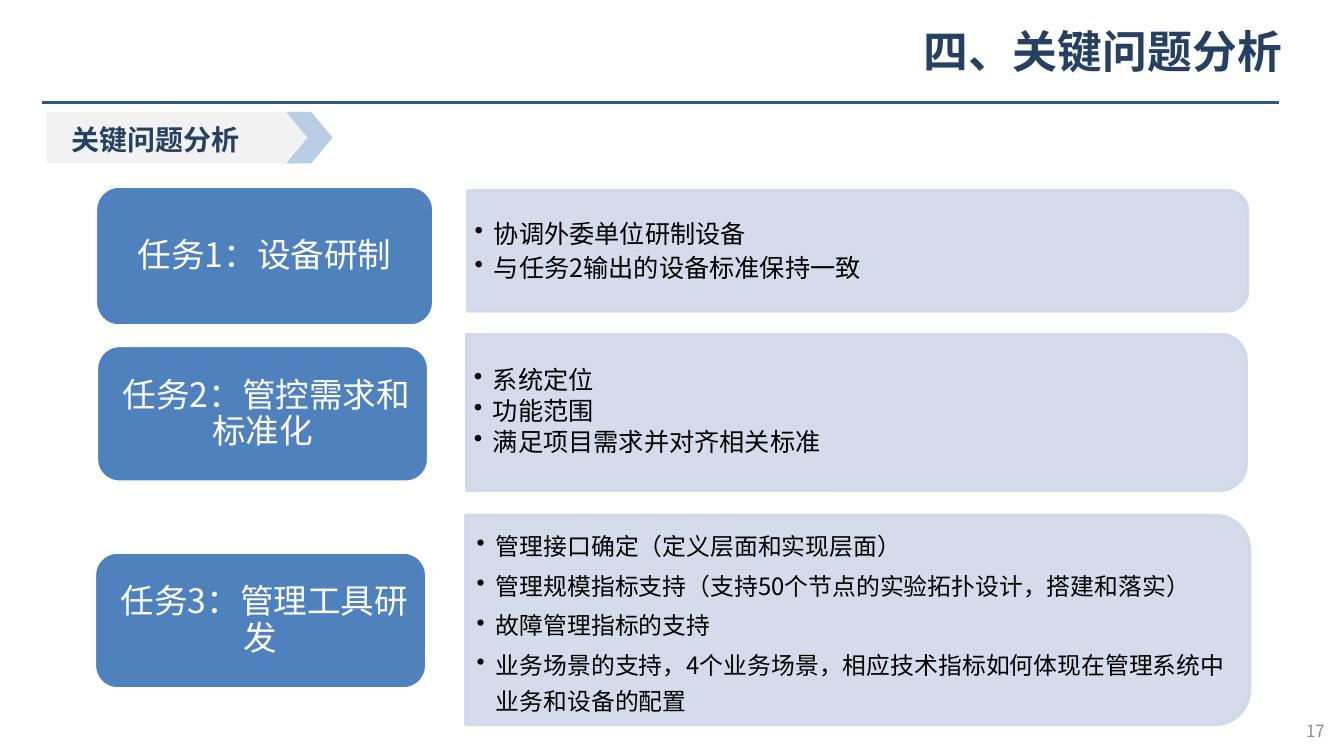
"""Build the key issues slide: three tasks, each with a panel of points."""
from pptx import Presentation
from pptx.dml.color import RGBColor
from pptx.enum import shapes, text
from pptx.oxml.ns import qn
from pptx.util import Pt

FONT = "Noto Sans CJK SC"
NAVY = RGBColor(0x25, 0x40, 0x61)
RULE = RGBColor(0x2C, 0x55, 0x88)
BLUE = RGBColor(0x4F, 0x81, 0xBD)
PALE = RGBColor(0xD0, 0xD8, 0xE8)
SKY = RGBColor(0xB9, 0xCD, 0xE5)
SMOKE = RGBColor(0xF2, 0xF2, 0xF2)
GREY = RGBColor(0x8C, 0x8C, 0x8C)
WHITE = RGBColor(0xFF, 0xFF, 0xFF)
BLACK = RGBColor(0, 0, 0)

TITLE = "四、关键问题分析"
SECTION = "关键问题分析"
PAGE = "17"
TASKS = [
    dict(name="任务1：设备研制", box=(68.4, 133.2, 241.2, 99.4),
         panel=(334, 136, 557.3, 86.4), text_left=334.1, size=18, pitch=21.6,
         points=["协调外委单位研制设备", "与任务2输出的设备标准保持一致"]),
    dict(name=" 任务2：管控需求和标准化", box=(69.1, 247, 236.9, 97.2),
         panel=(333, 238.7, 557.3, 111.6), text_left=333.4, size=18, pitch=19.4,
         points=["系统定位", "功能范围", "满足项目需求并对齐相关标准"]),
    dict(name=" 任务3：管理工具研发", box=(67.7, 394.6, 236.9, 97.2),
         panel=(332.6, 367.9, 560.2, 149.8), text_left=335.5, size=17, pitch=25.7,
         points=["管理接口确定（定义层面和实现层面）",
                 "管理规模指标支持（支持50个节点的实验拓扑设计，搭建和落实）",
                 "故障管理指标的支持",
                 "业务场景的支持，4个业务场景，相应技术指标如何体现在管理系统中业务和设备的配置"]),
]
PANEL_INSET = 0.043
SPACE_AFTER = 0.15
INDENT = 13.7


def write(sp, lines, size, color, align=text.PP_ALIGN.LEFT, anchor=text.MSO_ANCHOR.MIDDLE,
          bold=False, pitch=None, margins=(7.2, 3.6, 7.2, 3.6), bullet=False):
    """Fill a shape with formatted paragraphs."""
    tf = sp.text_frame
    tf.word_wrap = True
    tf.auto_size = text.MSO_AUTO_SIZE.NONE
    tf.vertical_anchor = anchor
    tf.margin_left, tf.margin_top, tf.margin_right, tf.margin_bottom = map(Pt, margins)
    for i, line in enumerate(lines):
        p = tf.add_paragraph() if i else tf.paragraphs[0]
        p.alignment = align
        if pitch:
            p.line_spacing = Pt(pitch)
        if bullet:
            p.space_after = Pt(SPACE_AFTER * size)
            pPr = p._p.get_or_add_pPr()
            pPr.set("marL", str(Pt(INDENT)))
            pPr.set("indent", str(-Pt(INDENT)))
            pPr.append(pPr.makeelement(qn("a:buChar"), {"char": "•"}))
        r = p.add_run()
        r.text = line
        r.font.name, r.font.size, r.font.bold = FONT, Pt(size), bold
        r.font.color.rgb = color
        rPr = r._r.get_or_add_rPr()
        rPr.append(rPr.makeelement(qn("a:ea"), {"typeface": FONT}))


def add_shape(s, kind, box, fill, line=None):
    """Add a flat preset shape."""
    sp = s.shapes.add_shape(kind, *map(Pt, box))
    sp.shadow.inherit = False
    sp.fill.solid()
    sp.fill.fore_color.rgb = fill
    if line is None:
        sp.line.fill.background()
    else:
        sp.line.color.rgb = line
        sp.line.width = Pt(2)
    return sp


def add_text(s, box, lines, size, color, **style):
    """Add a text box."""
    write(s.shapes.add_textbox(*map(Pt, box)), lines, size, color, **style)


def add_panel(s, box):
    """Add a translucent panel rounded on its right side."""
    x, y, w, h = box
    turned = (x + (w - h) / 2, y + (h - w) / 2, h, w)
    sp = add_shape(s, shapes.MSO_SHAPE.ROUND_2_SAME_RECTANGLE, turned, PALE, PALE)
    sp.rotation = 90
    for clr in list(sp._element.spPr.iter(qn("a:srgbClr"))):
        clr.append(clr.makeelement(qn("a:alpha"), {"val": "90000"}))


def add_task(s, task):
    """Add one task box with its panel of points."""
    x, y, w, h = task["panel"]
    add_panel(s, task["panel"])
    inset = PANEL_INSET * h
    add_text(s, (task["text_left"], y + inset, w - inset, h - 2 * inset),
             task["points"], task["size"], BLACK, pitch=task["pitch"],
             margins=(5, 2.9, 5, 2.9), bullet=True)
    sp = add_shape(s, shapes.MSO_SHAPE.ROUNDED_RECTANGLE, task["box"], BLUE, WHITE)
    write(sp, [task["name"]], 24, WHITE, align=text.PP_ALIGN.CENTER, pitch=26)


def main():
    prs = Presentation()
    prs.slide_width, prs.slide_height = Pt(960), Pt(540)
    s = prs.slides.add_slide(prs.slide_layouts[5])

    title = s.shapes.title
    title.left, title.top, title.width, title.height = map(Pt, (328.3, 16.6, 594.7, 90))
    write(title, [TITLE], 32, NAVY, align=text.PP_ALIGN.RIGHT,
          anchor=text.MSO_ANCHOR.TOP, bold=True, margins=(7.2, 0, 7.2, 0))

    rule = s.shapes.add_connector(shapes.MSO_CONNECTOR.STRAIGHT,
                                  Pt(30.2), Pt(73), Pt(913.7), Pt(73))
    rule.line.color.rgb = RULE
    rule.line.width = Pt(2.25)
    spPr = rule._element.spPr
    spPr.append(spPr.makeelement(qn("a:effectLst"), {}))

    add_shape(s, shapes.MSO_SHAPE.RECTANGLE, (33.1, 80, 187.2, 36.7), SMOKE)
    add_text(s, (26.6, 85.7, 169.2, 24.5), [SECTION], 20, NAVY,
             align=text.PP_ALIGN.CENTER, anchor=text.MSO_ANCHOR.TOP, bold=True,
             pitch=26, margins=(0, 0, 0, 0))
    chevron = add_shape(s, shapes.MSO_SHAPE.CHEVRON, (204.5, 80, 33.1, 36.7), SKY)
    chevron.adjustments[0] = 0.46

    for task in TASKS:
        add_task(s, task)
    add_text(s, (729.4, 507.6, 223.9, 28.8), [PAGE], 12, GREY, align=text.PP_ALIGN.RIGHT)
    prs.save("out.pptx")


if __name__ == "__main__":
    main()
